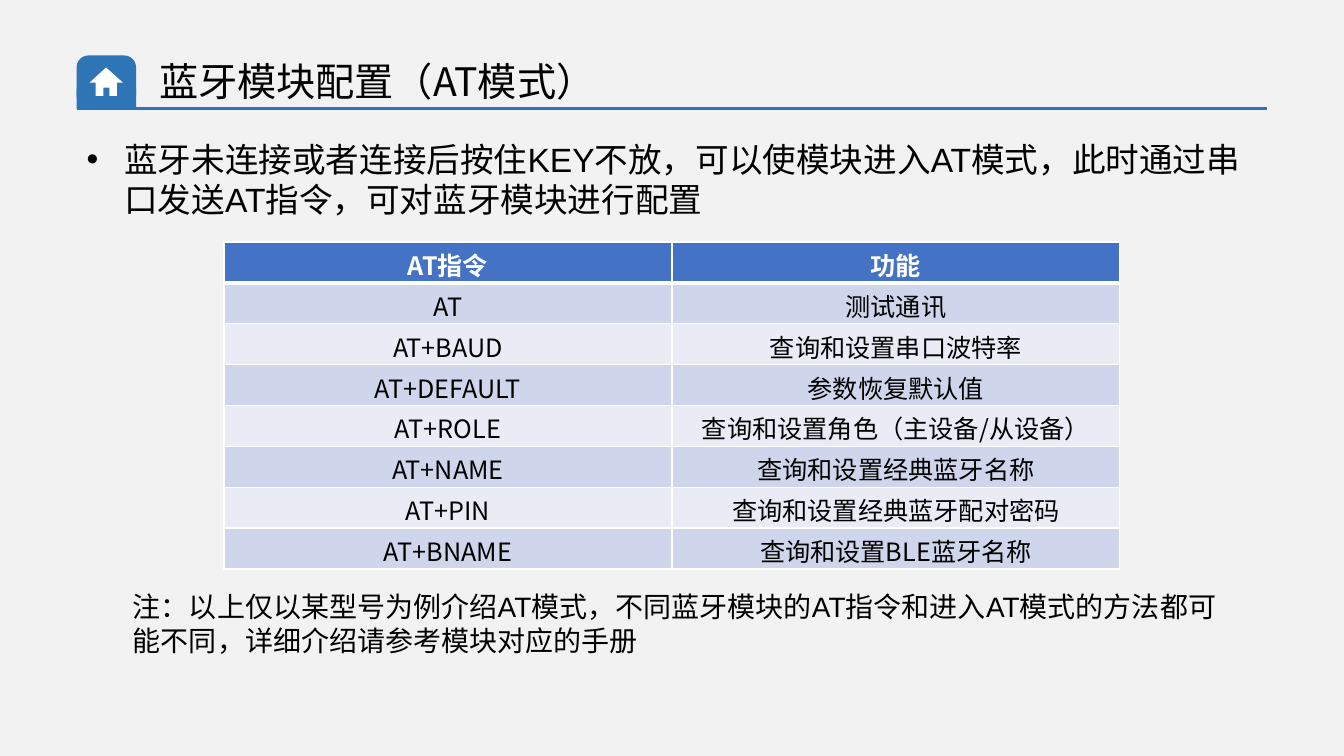
from dataclasses import dataclass, field
from typing import Any

import pptx
import pptx.dml.color
import pptx.enum.shapes
import pptx.enum.text
import pptx.oxml
import pptx.oxml.ns
import pptx.util

Pt = pptx.util.Pt
RGBColor = pptx.dml.color.RGBColor
Shape = pptx.enum.shapes.MSO_SHAPE
qn = pptx.oxml.ns.qn

BACKGROUND = RGBColor(0xF2, 0xF2, 0xF2)
ACCENT = RGBColor(0x2E, 0x75, 0xB6)
HEADER = RGBColor(0x44, 0x72, 0xC4)
BANDS = (RGBColor(0xCF, 0xD5, 0xEA), RGBColor(0xE9, 0xEB, 0xF5))
WHITE = RGBColor(0xFF, 0xFF, 0xFF)
BLACK = RGBColor(0, 0, 0)
ARIAL = "Arial"
NOTO = "Noto Sans CJK SC"

COMMANDS = (
    ("AT指令", "功能"),
    ("AT", "测试通讯"),
    ("AT+BAUD", "查询和设置串口波特率"),
    ("AT+DEFAULT", "参数恢复默认值"),
    ("AT+ROLE", "查询和设置角色（主设备/从设备）"),
    ("AT+NAME", "查询和设置经典蓝牙名称"),
    ("AT+PIN", "查询和设置经典蓝牙配对密码"),
    ("AT+BNAME", "查询和设置BLE蓝牙名称"),
)
COLUMN_WIDTH = 320
ROW_HEIGHT = 29.2
HOUSE = ((83.5, 59), (87.8, 59), (75.8, 48.2), (64, 59), (68.3, 59),
         (68.3, 68.4), (73.9, 68.4), (73.9, 62.6), (78.2, 62.6),
         (78.2, 68.4), (83.5, 68.4))


@dataclass(frozen=True)
class Passage:
    text: str
    box: tuple[float, float, float, float]
    font: dict[str, Any]
    paragraph: dict[str, Any] = field(default_factory=dict)
    hanging: float = 0


@dataclass(frozen=True)
class Panel:
    preset: Any
    box: tuple[float, float, float, float]
    adjustments: tuple[float, ...] = ()


PASSAGES = (
    Passage("蓝牙未连接或者连接后按住KEY不放，可以使模块进入AT模式，此时通过串口发送AT指令，可对蓝牙模块进行配置",
            (54.72, 95.76, 850.32, 65.52), {"size": Pt(24), "name": ARIAL},
            {"space_after": Pt(12)}, 27),
    Passage("蓝牙模块配置（AT模式）", (106.56, 37.44, 686.88, 41.04),
            {"size": Pt(28), "name": NOTO}),
    Passage("注：以上仅以某型号为例介绍AT模式，不同蓝牙模块的AT指令和进入AT模式的方法都可能不同，详细介绍请参考模块对应的手册",
            (87.84, 417.6, 804.96, 55.44), {"size": Pt(20), "name": ARIAL},
            {"space_after": Pt(12)}),
)
PANELS = (
    Panel(Shape.ROUNDED_RECTANGLE, (54.72, 39.6, 42.48, 36.72), (0.23,)),
    Panel(Shape.RECTANGLE, (54.72, 63.36, 42.48, 14.4)),
)


def apply_format(target: Any, values: dict[str, Any]) -> None:
    for name, value in values.items():
        setattr(target, name, value)


def write(paragraph: Any, text: str, font: dict[str, Any], color: RGBColor) -> None:
    run = paragraph.add_run()
    run.text = text
    apply_format(run.font, font)
    run.font.color.rgb = color
    if font["name"] == NOTO:
        east_asian = run.font._element.makeelement(qn("a:ea"), {"typeface": NOTO})
        run.font._element.append(east_asian)


def draw_passage(slide: Any, passage: Passage) -> None:
    frame = slide.shapes.add_textbox(*map(Pt, passage.box)).text_frame
    apply_format(frame, {"word_wrap": True,
                         "auto_size": pptx.enum.text.MSO_AUTO_SIZE.SHAPE_TO_FIT_TEXT})
    paragraph = frame.paragraphs[0]
    apply_format(paragraph, passage.paragraph)
    if passage.hanging:
        properties = paragraph._p.get_or_add_pPr()
        properties.set("marL", str(Pt(passage.hanging)))
        properties.set("indent", str(-Pt(passage.hanging)))
        for tag, values in (("a:buFont", {"typeface": ARIAL}), ("a:buChar", {"char": "•"})):
            properties.append(properties.makeelement(qn(tag), values))
    write(paragraph, passage.text, passage.font, BLACK)


def paint(shape: Any, color: RGBColor) -> None:
    shape.shadow.inherit = False
    shape.fill.solid()
    shape.fill.fore_color.rgb = color
    shape.line.fill.background()


def draw_panel(slide: Any, panel: Panel) -> None:
    shape = slide.shapes.add_shape(panel.preset, *map(Pt, panel.box))
    for index, value in enumerate(panel.adjustments):
        shape.adjustments[index] = value
    paint(shape, ACCENT)


def draw_title_rule(slide: Any) -> None:
    rule = slide.shapes.add_connector(
        pptx.enum.shapes.MSO_CONNECTOR.STRAIGHT, *map(Pt, (54.72, 77.76, 905.04, 77.76)))
    rule.line.color.rgb = ACCENT
    rule.line.width = Pt(2.25)
    properties = rule._element.spPr
    properties.append(properties.makeelement(qn("a:effectLst"), {}))


def draw_house(slide: Any) -> None:
    start, *corners = [(Pt(x), Pt(y)) for x, y in HOUSE]
    builder = slide.shapes.build_freeform(*start)
    builder.add_line_segments(corners, close=True)
    paint(builder.convert_to_shape(), WHITE)


def add_borders(cell: Any, widths: dict[str, float]) -> None:
    properties = cell._tc.get_or_add_tcPr()
    for side, width in widths.items():
        properties.append(pptx.oxml.parse_xml(
            f'<a:{side} xmlns:a="http://schemas.openxmlformats.org/drawingml/2006/main" '
            f'w="{Pt(width)}"><a:solidFill><a:srgbClr val="{WHITE}"/></a:solidFill></a:{side}>'))


def draw_commands(slide: Any) -> None:
    row_count, column_count = len(COMMANDS), len(COMMANDS[0])
    table = slide.shapes.add_table(
        row_count, column_count, Pt(160), Pt(172.8),
        Pt(COLUMN_WIDTH * column_count), Pt(ROW_HEIGHT * row_count)).table
    for row_index, texts in enumerate(COMMANDS):
        table.rows[row_index].height = Pt(ROW_HEIGHT)
        is_header = row_index == 0
        for column_index, text in enumerate(texts):
            cell = table.cell(row_index, column_index)
            apply_format(cell, {"margin_top": Pt(3), "margin_bottom": Pt(0),
                                "vertical_anchor": pptx.enum.text.MSO_ANCHOR.MIDDLE})
            add_borders(cell, {"lnL": 1, "lnR": 1, "lnT": 3 if row_index == 1 else 1,
                               "lnB": 3 if is_header else 1})
            cell.fill.solid()
            cell.fill.fore_color.rgb = HEADER if is_header else BANDS[(row_index - 1) % 2]
            paragraph = cell.text_frame.paragraphs[0]
            paragraph.alignment = pptx.enum.text.PP_ALIGN.CENTER
            write(paragraph, text, {"size": Pt(18), "name": NOTO, "bold": is_header},
                  WHITE if is_header else BLACK)


def main() -> None:
    deck = pptx.Presentation()
    apply_format(deck, {"slide_width": Pt(960), "slide_height": Pt(540)})
    slide = deck.slides.add_slide(deck.slide_layouts[6])
    slide.background.fill.solid()
    slide.background.fill.fore_color.rgb = BACKGROUND
    body, title, note = PASSAGES
    draw_passage(slide, body)
    draw_passage(slide, title)
    rounded_top, square_base = PANELS
    draw_panel(slide, rounded_top)
    draw_title_rule(slide)
    draw_panel(slide, square_base)
    draw_house(slide)
    draw_commands(slide)
    draw_passage(slide, note)
    deck.save("out.pptx")


if __name__ == "__main__":
    main()
